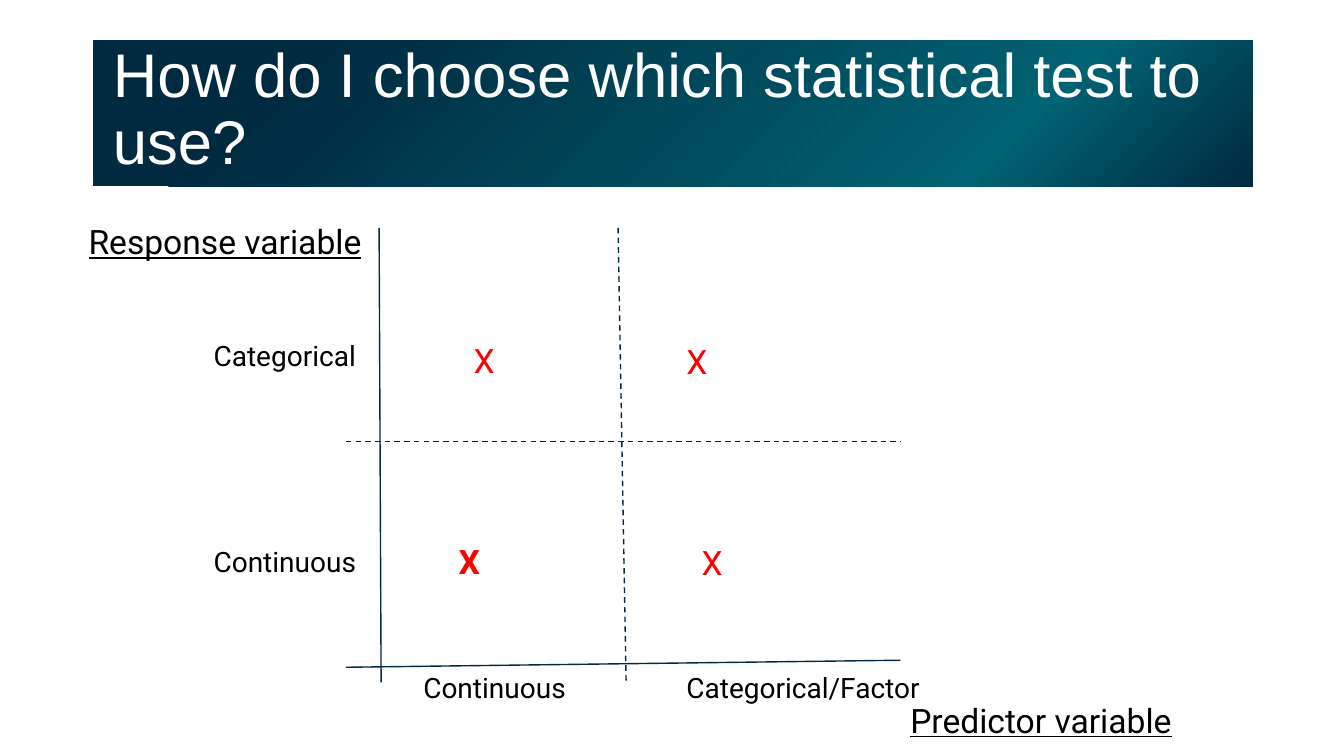
from dataclasses import dataclass

from lxml import etree
from pptx import Presentation
from pptx import util as u
from pptx.dml.color import RGBColor
from pptx.enum import dml, shapes, text
from pptx.oxml import ns


@dataclass(frozen=True)
class Theme:
    """Colours, fonts and type sizes of the slide."""
    navy: str = "002A40"
    teal: str = "006272"
    white: str = "FFFFFF"
    black: str = "000000"
    red: str = "FF0000"
    title_font: str = "Arial"
    body_font: str = "Roboto"
    title_size: int = 44
    axis_size: int = 24
    level_size: int = 20
    line_width: int = 1


THEME = Theme()


def apply_format(target, values):
    """Set every attribute in values on the target."""
    for name, value in values.items():
        setattr(target, name, value)


def write_text(box, wording, frame_format, para_format, font_format, color):
    """Put one formatted paragraph in the box."""
    frame = box.text_frame
    apply_format(frame, frame_format)
    para = frame.paragraphs[0]
    apply_format(para, para_format)
    span = para.add_run()
    span.text = wording
    apply_format(span.font, font_format)
    span.font.color.rgb = RGBColor.from_string(color)


def fill_radial(box, stops):
    """Fill the box with a circular gradient centred on its bottom right corner."""
    box.fill.background()
    properties = box._element.spPr
    gradient = etree.Element(ns.qn("a:gradFill"), rotWithShape="1")
    stop_list = etree.SubElement(gradient, ns.qn("a:gsLst"))
    for percent, color in stops:
        stop = etree.SubElement(stop_list, ns.qn("a:gs"), pos=str(percent * 1000))
        etree.SubElement(stop, ns.qn("a:srgbClr"), val=color)
    circle = etree.SubElement(gradient, ns.qn("a:path"), attrib={"path": "circle"})
    etree.SubElement(circle, ns.qn("a:fillToRect"), l="100000", t="100000")
    properties.replace(properties.find(ns.qn("a:noFill")), gradient)


def add_title(page, left, top, width, height):
    """Draw the title band."""
    band = page.shapes.add_shape(
        shapes.MSO_SHAPE.RECTANGLE, *map(u.Inches, (left, top, width, height)))
    band.shadow.inherit = False
    band.line.fill.background()
    fill_radial(band, [(0, THEME.navy), (22, THEME.teal),
                       (83, THEME.navy), (100, THEME.navy)])
    write_text(
        band, "How do I choose which statistical test to use?",
        {"word_wrap": True, "vertical_anchor": text.MSO_ANCHOR.MIDDLE,
         "margin_left": u.Inches(0.2), "margin_right": u.Inches(0.1),
         "margin_top": 0, "margin_bottom": u.Inches(0.05)},
        {"line_spacing": 0.9, "alignment": text.PP_ALIGN.LEFT},
        {"size": u.Pt(THEME.title_size), "name": THEME.title_font}, THEME.white)


def add_rule(page, start, end, dashed):
    """Draw a thin axis or divider."""
    rule = page.shapes.add_connector(
        shapes.MSO_CONNECTOR.STRAIGHT, *map(u.Inches, (*start, *end)))
    rule.line.color.rgb = RGBColor.from_string(THEME.navy)
    rule.line.width = u.Pt(THEME.line_width)
    if dashed:
        rule.line.dash_style = dml.MSO_LINE.DASH
    etree.SubElement(rule._element.spPr, ns.qn("a:effectLst"))


def add_label(page, left, top, wording, size, color, **style):
    """Place an unwrapped label in a one-inch box."""
    box = page.shapes.add_textbox(*map(u.Inches, (left, top, 1, 1)))
    write_text(
        box, wording,
        {"word_wrap": False, "auto_size": text.MSO_AUTO_SIZE.NONE,
         "vertical_anchor": text.MSO_ANCHOR.MIDDLE},
        {"space_after": u.Pt(6), "alignment": text.PP_ALIGN.LEFT},
        {"size": u.Pt(size), "name": THEME.body_font, **style}, color)


def add_grid(page, left, top, width, height):
    """Draw the response and predictor grid with its labels and marks."""
    right, bottom = left + width, top + height
    for start, end, dashed in [
        ((left + 0.33, top), (left + 0.35, bottom), False),
        ((left, bottom - 0.15), (right, bottom - 0.22), False),
        ((left, top + 2.12), (right, top + 2.12), True),
        ((left + 2.7, top), (left + 2.78, bottom), True),
    ]:
        add_rule(page, start, end, dashed)

    for x, y, wording in [(-2.65, -0.37, "Response variable"),
                          (width, 4.38, "Predictor variable")]:
        add_label(page, left + x, top + y, wording,
                  THEME.axis_size, THEME.black, underline=True)

    for x, y, wording in [(0.67, 4.06, "Continuous"), (-1.41, 2.81, "Continuous"),
                          (-1.41, 0.76, "Categorical"),
                          (3.28, 4.06, "Categorical/Factor")]:
        add_label(page, left + x, top + y, wording, THEME.level_size, THEME.black)

    for x, y, bold in [(1.02, 2.81, True), (3.43, 2.82, False),
                       (1.17, 0.81, False), (3.28, 0.82, False)]:
        add_label(page, left + x, top + y, "X", THEME.axis_size, THEME.red, bold=bold)


def main():
    """Build and save the slide."""
    deck = Presentation()
    apply_format(deck, {"slide_width": u.Inches(13.33), "slide_height": u.Inches(7.5)})
    page = deck.slides.add_slide(deck.slide_layouts[6])
    add_title(page, 0.92, 0.4, 11.5, 1.45)
    add_grid(page, 3.43, 2.26, 5.5, 4.51)
    deck.save("out.pptx")


if __name__ == "__main__":
    main()
